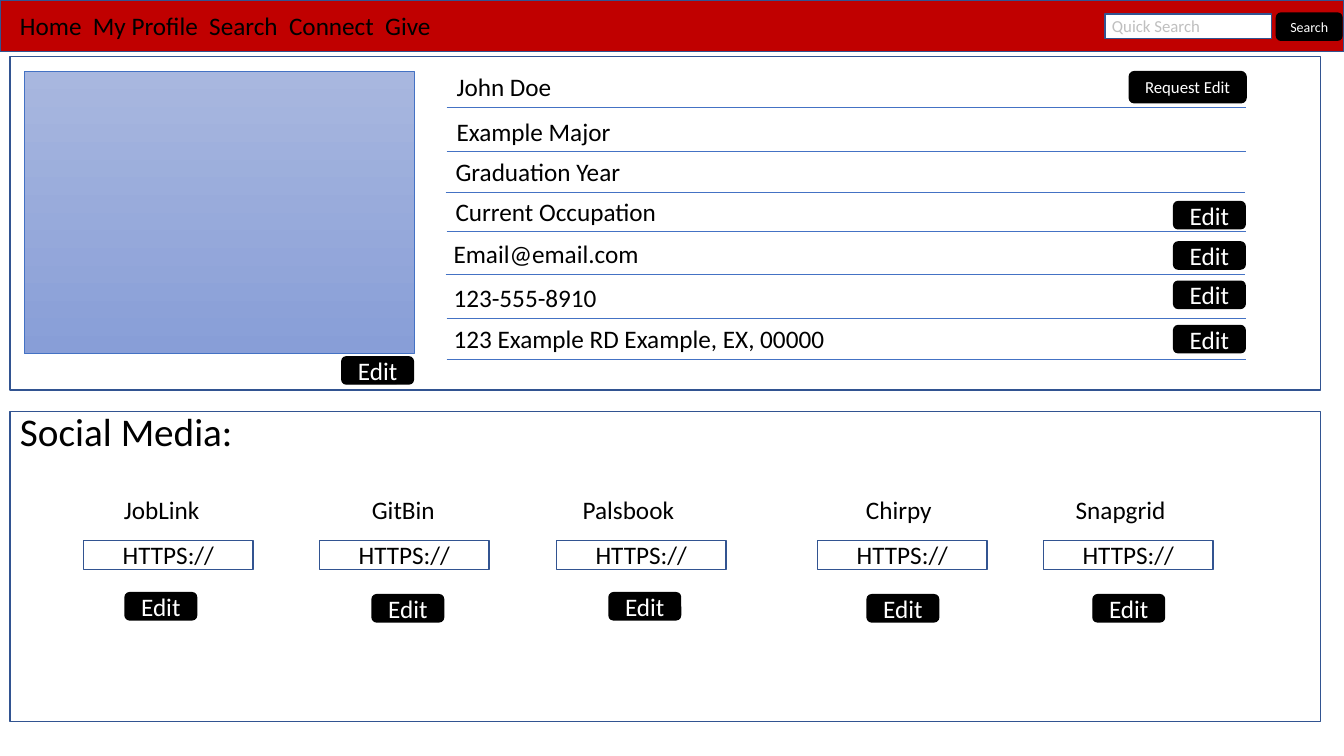
from lxml import etree
from pptx import Presentation
from pptx.dml.color import RGBColor
from pptx.enum.shapes import MSO_CONNECTOR, MSO_SHAPE
from pptx.enum.text import MSO_ANCHOR, MSO_AUTO_SIZE, PP_ALIGN
from pptx.oxml.ns import qn
from pptx.util import Inches, Pt

RECTANGLE, ROUNDED = MSO_SHAPE.RECTANGLE, MSO_SHAPE.ROUNDED_RECTANGLE
STRAIGHT = MSO_CONNECTOR.STRAIGHT
MIDDLE, CENTER, LEFT = MSO_ANCHOR.MIDDLE, PP_ALIGN.CENTER, PP_ALIGN.LEFT
FIT_SHAPE = MSO_AUTO_SIZE.SHAPE_TO_FIT_TEXT

BLACK = RGBColor(0x00, 0x00, 0x00)
WHITE = RGBColor(0xFF, 0xFF, 0xFF)
RED = RGBColor(0xC0, 0x00, 0x00)
GRAY = RGBColor(0xBF, 0xBF, 0xBF)
NAVY = RGBColor(0x32, 0x54, 0x91)
BLUE = RGBColor(0x44, 0x72, 0xC4)
PHOTO_TOP = RGBColor(0xA8, 0xB7, 0xDF)
PHOTO_BOTTOM = RGBColor(0x88, 0x9E, 0xD7)
FONT = "Calibri"

MENU = ["Home", "My Profile", "Search", "Connect", "Give"]
# text, left, top, width, rule left, rule top, edit button top
PROFILE = [
    ("John Doe", 4.43, 0.66, 1.16, 4.43, 1.07, None),
    ("Example Major", 4.43, 1.10, 1.74, 4.43, 1.50, None),
    ("Graduation Year", 4.42, 1.50, 1.86, 4.42, 1.91, None),
    ("Current Occupation", 4.42, 1.90, 2.22, 4.43, 2.30, 2.00),
    ("Email@email.com", 4.40, 2.32, 2.06, 4.42, 2.72, 2.40),
    ("123-555-8910", 4.40, 2.75, 1.64, 4.43, 3.16, 2.79),
    ("123 Example RD Example, EX, 00000", 4.40, 3.16, 3.92, 4.43, 3.57, 3.23),
]
# network, label left, label width, field left, button left, button top
SOCIAL = [
    ("JobLink", 1.13, 1.06, 0.83, 1.24, 5.88),
    ("GitBin", 3.59, 0.93, 3.17, 3.69, 5.90),
    ("Palsbook", 5.68, 1.18, 5.52, 6.04, 5.88),
    ("Chirpy", 8.49, 0.93, 8.11, 8.60, 5.90),
    ("Snapgrid", 10.57, 1.22, 10.35, 10.84, 5.90),
]
RULE_WIDTH = 7.93
EDIT_LEFT, EDIT_SIZE = 11.64, (0.71, 0.27)
LABEL_TOP, FIELD_TOP, FIELD_SIZE = 4.86, 5.36, (1.68, 0.29)

deck = Presentation()
deck.slide_width, deck.slide_height = Inches(13.33), Inches(7.5)
page = deck.slides.add_slide(deck.slide_layouts[6])


def write(frame, text, size, color, align):
    """Put one formatted paragraph into a text frame."""
    para = frame.paragraphs[0]
    para.alignment = align
    span = para.add_run()
    span.text = text
    for name, value in {"name": FONT, "size": Pt(size)}.items():
        setattr(span.font, name, value)
    span.font.color.rgb = color


def add_label(text, left, top, width, height=0.4, size=18, color=BLACK):
    """Add a one-line text box."""
    box = page.shapes.add_textbox(*map(Inches, (left, top, width, height)))
    frame = box.text_frame
    frame.word_wrap, frame.auto_size = False, FIT_SHAPE
    write(frame, text, size, color, LEFT)


def add_panel(left, top, width, height, kind=RECTANGLE, fill=WHITE,
              line=NAVY, weight=1):
    """Add a filled, outlined shape without a shadow."""
    box = page.shapes.add_shape(kind, *map(Inches, (left, top, width, height)))
    box.shadow.inherit = False
    box.fill.solid()
    box.fill.fore_color.rgb = fill
    box.line.color.rgb = line
    box.line.width = Pt(weight)
    return box


def add_caption(box, text, size, color):
    """Centre text inside a shape."""
    box.text_frame.vertical_anchor = MIDDLE
    write(box.text_frame, text, size, color, CENTER)


def add_button(left, top, text="Edit", width=EDIT_SIZE[0],
               height=EDIT_SIZE[1], size=18):
    """Add a black rounded button."""
    box = add_panel(left, top, width, height, ROUNDED, BLACK, BLACK)
    add_caption(box, text, size, WHITE)


def add_rule(left, top):
    """Add a thin line under a profile row."""
    rule = page.shapes.add_connector(
        STRAIGHT, *map(Inches, (left, top, left + RULE_WIDTH, top)))
    rule.line.color.rgb = BLUE
    rule.line.width = Pt(0.5)
    properties = rule._element.find(qn("p:spPr"))
    etree.SubElement(properties, qn("a:effectLst"))


# Profile panel and top bar
add_panel(0.1, 0.56, 13, 3.31)
add_panel(0, 0, 13.33, 0.51, fill=RED)
add_panel(10.96, 0.14, 1.65, 0.24)
add_label("  ".join(MENU), 0.1, 0.05, 4.33)
add_label("Quick Search", 10.93, 0.11, 1.09, 0.3, 12, GRAY)
add_button(12.66, 0.13, "Search", 0.65, size=10)

# Photo area
photo = add_panel(0.24, 0.71, 3.87, 2.8, line=BLUE, weight=0.5)
photo.fill.gradient()
photo.fill.gradient_angle = 270
for stop, color in zip(photo.fill.gradient_stops, (PHOTO_TOP, PHOTO_BOTTOM)):
    stop.color.rgb = color
add_button(3.39, 3.54)

# Profile rows
for text, left, top, width, rule_left, rule_top, edit_top in PROFILE:
    add_label(text, left, top, width)
    add_rule(rule_left, rule_top)
    if edit_top is not None:
        add_button(EDIT_LEFT, edit_top)
add_button(11.2, 0.71, "Request Edit", 1.16, 0.31, 12)

# Social media panel
add_panel(0.1, 4.08, 13, 3.08)
add_label("Social Media:", 0.1, 3.99, 2.33, 0.57, 28)
for name, label_left, width, field_left, edit_left, edit_top in SOCIAL:
    add_label(name, label_left, LABEL_TOP, width)
    add_caption(add_panel(field_left, FIELD_TOP, *FIELD_SIZE),
                "HTTPS://", 18, BLACK)
    add_button(edit_left, edit_top)

deck.save("out.pptx")
